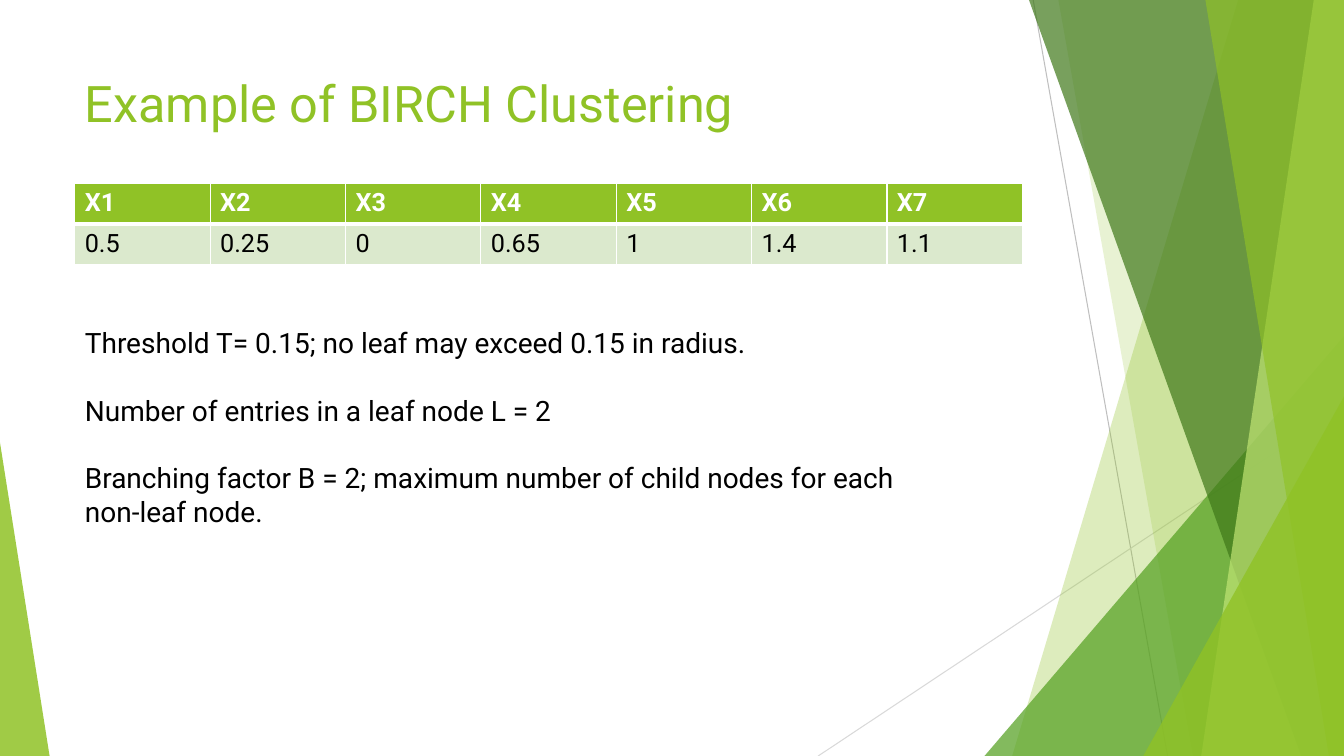
from dataclasses import dataclass

from lxml import etree
from pptx import Presentation
from pptx.dml.color import RGBColor
from pptx.enum.shapes import MSO_CONNECTOR, MSO_SHAPE
from pptx.enum.text import MSO_ANCHOR, MSO_AUTO_SIZE, PP_ALIGN
from pptx.oxml.ns import qn
from pptx.util import Inches, Pt

LINE = MSO_CONNECTOR.STRAIGHT
TRI = MSO_SHAPE.ISOSCELES_TRIANGLE
TOP = MSO_ANCHOR.TOP
FIXED = MSO_AUTO_SIZE.NONE
LEFT = PP_ALIGN.LEFT

WIDE, HIGH = Inches(13.33), Inches(7.5)
COLS, ROWS = 160, 90


@dataclass(frozen=True)
class Theme:
    font: str = "Roboto"
    lime: str = "90C226"
    leaf: str = "54A021"
    pine: str = "3F7819"
    pale: str = "C0E474"
    band: str = "DBE9CD"
    ink: str = "000000"
    white: str = "FFFFFF"
    rule: str = "BFBFBF"
    faint: str = "D9D9D9"
    title: int = 36
    body: int = 20
    cell: int = 18
    gap: int = 24


THEME = Theme()

POINTS = [
    ("X1", "0.5"), ("X2", "0.25"), ("X3", "0"), ("X4", "0.65"),
    ("X5", "1"), ("X6", "1.4"), ("X7", "1.1"),
]
NOTES = [
    "Threshold T= 0.15; no leaf may exceed 0.15 in radius.",
    "Number of entries in a leaf node L = 2",
    "Branching factor B = 2; maximum number of child nodes for each non-leaf node.",
]


def col(n):
    return round(n * WIDE / COLS)


def row(n):
    return round(n * HIGH / ROWS)


def box(left, top, width, height):
    return col(left), row(top), col(width), row(height)


def rgb(tone):
    return RGBColor.from_string(tone)


def style(para, size, tone, bold=False):
    para.alignment = LEFT
    for run in para.runs:
        font = run.font
        font.name, font.size, font.bold = THEME.font, Pt(size), bold
        font.color.rgb = rgb(tone)


def tint(shape, tone, share):
    shape.shadow.inherit = False
    shape.line.fill.background()
    shape.fill.solid()
    shape.fill.fore_color.rgb = rgb(tone)
    mark = shape.element.spPr.find(".//" + qn("a:srgbClr"))
    etree.SubElement(mark, qn("a:alpha"), val=str(share * 1000))


def add_line(group, start, end, tone):
    line = group.shapes.add_connector(
        LINE, col(start[0]), row(start[1]), col(end[0]), row(end[1]))
    line.line.color.rgb = rgb(tone)
    line.line.width = Pt(0.75)
    etree.SubElement(line.element.spPr, qn("a:effectLst"))


def add_blade(group, high, low, tone, share):
    pen = group.shapes.build_freeform(col(high), 0)
    pen.add_line_segments(
        [(WIDE, 0), (WIDE, HIGH), (col(low), HIGH)], close=True)
    tint(pen.convert_to_shape(), tone, share)


def add_wedge(group, left, top, width, peak, tone, share):
    wedge = group.shapes.add_shape(TRI, *box(left, top, width, ROWS - top))
    wedge.adjustments[0] = peak
    tint(wedge, tone, share)


def add_decor(slide):
    group = slide.shapes.add_group_shape()
    add_line(group, (123, 0), (139, ROWS), THEME.rule)
    add_line(group, (COLS, 48.4), (97.4, ROWS), THEME.faint)
    add_blade(group, 147.4, 120.5, THEME.lime, 30)
    add_blade(group, 126, 142, THEME.lime, 20)
    add_wedge(group, 117.2, 40, 42.8, 1, THEME.leaf, 72)
    add_blade(group, 122.5, 154.9, THEME.pine, 70)
    add_blade(group, 156.4, 143, THEME.pale, 70)
    add_blade(group, 143.5, 158.2, THEME.lime, 65)
    add_wedge(group, 136.1, 47.2, 23.9, 1, THEME.lime, 80)
    add_wedge(group, 0, 52.7, 5.9, 0, THEME.lime, 85)
    group.element.getparent().insert(2, group.element)


def place(holder, area):
    holder.left, holder.top, holder.width, holder.height = area
    frame = holder.text_frame
    frame.word_wrap = True
    frame.auto_size = FIXED
    frame.vertical_anchor = TOP
    return frame


def set_title(slide, text):
    frame = place(slide.shapes.title, box(8.9, 8, 112.8, 17.3))
    frame.text = text
    style(frame.paragraphs[0], THEME.title, THEME.lime)


def set_body(slide, lines):
    frame = place(slide.placeholders[1], box(8.9, 38.2, 100.9, 25.4))
    frame.text = "\n".join(lines)
    for spot, para in enumerate(frame.paragraphs):
        style(para, THEME.body, THEME.ink)
        para.space_before = Pt(THEME.gap if spot else 0)
        props = para._p.get_or_add_pPr()
        props.set("marL", "0")
        props.set("indent", "0")
        etree.SubElement(props, qn("a:buNone"))


def edge(cell, sides):
    props = cell._tc.get_or_add_tcPr()
    for spot, (side, width) in enumerate(sides.items()):
        line = etree.Element(qn("a:ln" + side), w=str(Pt(width)))
        fill = etree.SubElement(line, qn("a:solidFill"))
        etree.SubElement(fill, qn("a:srgbClr"), val=THEME.white)
        props.insert(spot, line)


def set_cell(cell, text, head):
    cell.text = text
    cell.fill.solid()
    cell.fill.fore_color.rgb = rgb(THEME.lime if head else THEME.band)
    tone = THEME.white if head else THEME.ink
    style(cell.text_frame.paragraphs[0], THEME.cell, tone, head)
    edge(cell, {"L": 1, "R": 1, "T": 1 if head else 3, "B": 3 if head else 1})


def add_grid(slide, points):
    area = box(8.9, 21.84, 112.8, 9.72)
    table = slide.shapes.add_table(2, len(points), *area).table
    for x, pair in enumerate(points):
        for y, text in enumerate(pair):
            set_cell(table.cell(y, x), text, y == 0)


def main():
    deck = Presentation()
    deck.slide_width, deck.slide_height = WIDE, HIGH
    slide = deck.slides.add_slide(deck.slide_layouts[1])
    add_decor(slide)
    set_title(slide, "Example of BIRCH Clustering")
    add_grid(slide, POINTS)
    set_body(slide, NOTES)
    deck.save("out.pptx")


if __name__ == "__main__":
    main()
